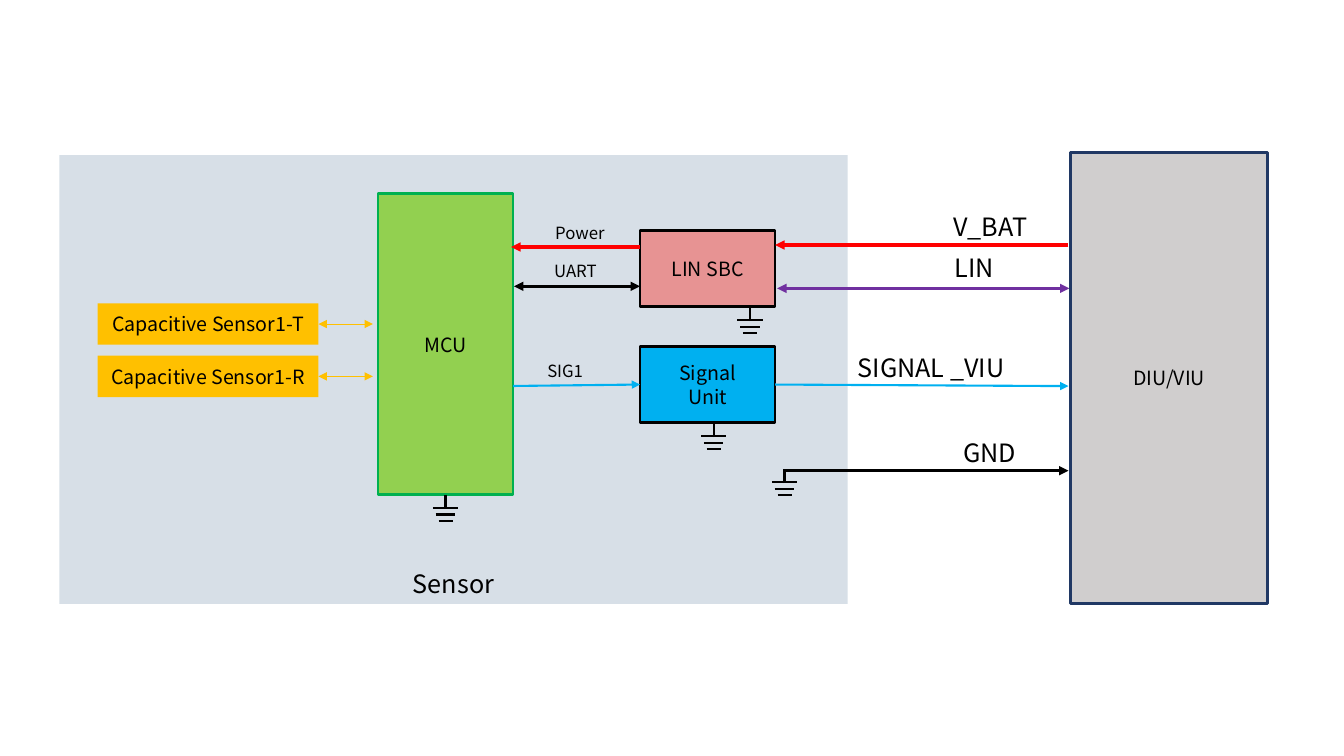
from collections import namedtuple

from pptx import Presentation
from pptx.dml.color import RGBColor
from pptx.enum.shapes import MSO_CONNECTOR, MSO_SHAPE
from pptx.enum.text import MSO_ANCHOR, PP_ALIGN
from pptx.oxml.ns import qn
from pptx.util import Pt
from lxml import etree

RECTANGLE = MSO_SHAPE.RECTANGLE
STRAIGHT = MSO_CONNECTOR.STRAIGHT
CENTER, LEFT = PP_ALIGN.CENTER, PP_ALIGN.LEFT
TOP, MIDDLE, BOTTOM = MSO_ANCHOR.TOP, MSO_ANCHOR.MIDDLE, MSO_ANCHOR.BOTTOM
SIDE_LEFT, SIDE_BOTTOM, SIDE_RIGHT = 1, 2, 3

FONT = "Noto Sans CJK SC"
COLORS = {
    "panel": "D7DFE7", "mcu": "92D050", "mcu_edge": "00B050", "lin_sbc": "E79393",
    "signal": "00B0F0", "capacitive": "FFC000", "unit": "D0CECE", "unit_edge": "203864",
    "power": "FF0000", "lin": "7030A0", "black": "000000",
}
Box = namedtuple("Box", "left top width height")


def color(name):
    return RGBColor.from_string(COLORS[name])


def write(shape, text, size, align, anchor):
    frame = shape.text_frame
    frame.word_wrap = True
    frame.vertical_anchor = anchor
    frame.text = text
    font_format = {"name": FONT, "size": Pt(size)}
    for para in frame.paragraphs:
        para.alignment = align
        for span in para.runs:
            for key, value in font_format.items():
                setattr(span.font, key, value)
            span.font.color.rgb = color("black")


def add_block(page, box, text, fill, edge=None, size=14, anchor=MIDDLE):
    block = page.shapes.add_shape(RECTANGLE, *map(Pt, box))
    block.shadow.inherit = False
    block.fill.solid()
    block.fill.fore_color.rgb = color(fill)
    if edge:
        block.line.color.rgb = color(edge)
        block.line.width = Pt(2)
    else:
        block.line.fill.background()
    write(block, text, size, CENTER, anchor)
    return block


def add_label(page, left, top, width, text, size):
    label = page.shapes.add_textbox(Pt(left), Pt(top), Pt(width), Pt(size * 1.2 + 7.2))
    label.text_frame.margin_right = 0
    write(label, text, size, LEFT, TOP)


def add_wire(page, start, end, stroke="black", width=1.5, arrows=(), joins=(None, None)):
    """Draw a line; joins holds (shape, side) or None for its start and end."""
    wire = page.shapes.add_connector(STRAIGHT, *map(Pt, (*start, *end)))
    for join, connect in zip(joins, (wire.begin_connect, wire.end_connect)):
        if join:
            connect(*join)
    wire.line.color.rgb = color(stroke)
    wire.line.width = Pt(width)
    outline = wire.line._get_or_add_ln()
    for arrow in arrows:
        etree.SubElement(outline, qn(f"a:{arrow}"), type="triangle")
    etree.SubElement(wire._element.spPr, qn("a:effectLst"))


def add_ground(page, x, y, block=None):
    """Draw an earth symbol hanging from the point (x, y)."""
    for row, width in enumerate((18, 14, 10)):
        bar = y + 9.3 + 4.7 * row
        add_wire(page, (x - width / 2, bar), (x + width / 2, bar))
    add_wire(page, (x, y + 10), (x, y), joins=(None, (block, SIDE_BOTTOM) if block else None))


def add_sensor(page, box):
    """Draw the sensor panel and return its signal unit."""
    left, top, width, height = box
    add_block(page, box, "Sensor", "panel", size=18, anchor=BOTTOM)

    mcu_box = Box(left + 227.5, top + 27.3, 96.5, 215.3)
    mcu_right = mcu_box.left + mcu_box.width
    mcu = add_block(page, mcu_box, "MCU", "mcu", "mcu_edge")
    chip_left = left + 414.7
    lin_top, signal_top = top + 54, top + 136.8
    add_block(page, Box(chip_left, lin_top, 96.5, 54), "LIN SBC", "lin_sbc", "black")
    signal = add_block(page, Box(chip_left, signal_top, 96.5, 54),
                       "Signal\nUnit", "signal", "black")

    add_ground(page, mcu_box.left + mcu_box.width / 2, mcu_box.top + mcu_box.height, mcu)
    add_ground(page, chip_left + 52.6, signal_top + 54.5)
    add_ground(page, chip_left + 78.5, lin_top + 54.5)
    add_ground(page, left + 517.9, top + 224.2)

    for row, name in enumerate(("T", "R")):
        sensor_box = Box(left + 27.3, top + 105.8 + 37.4 * row, 157.7, 29.5)
        sensor = add_block(page, sensor_box, f"Capacitive Sensor1-{name}", "capacitive")
        sensor_right = sensor_box.left + sensor_box.width
        middle = sensor_box.top + sensor_box.height / 2
        add_wire(page, (sensor_right, middle), (mcu_box.left - 3.6, middle), "capacitive", 0.75,
                 ("headEnd", "tailEnd"), ((sensor, SIDE_RIGHT), None))

    power, uart, sig = top + 65.5, top + 93.6, signal_top + 27
    add_wire(page, (chip_left, power), (mcu_right - 1.4, power), "power", 2.25, ("tailEnd",))
    add_wire(page, (mcu_right + 0.7, uart), (chip_left, uart), "black", 2.25,
             ("headEnd", "tailEnd"))
    add_wire(page, (mcu_right, sig + 1), (chip_left, sig), "signal", 1.5, ("tailEnd",),
             (None, (signal, SIDE_LEFT)))
    for x, y, text in ((347, 44.6, "Power"), (346.3, 72, "UART"), (341.3, 143.3, "SIG1")):
        add_label(page, left + x, top + y, 85, text, 12)
    return signal


def add_harness(page, box, signal):
    """Draw the wires that fill the box between the chips and the vehicle unit."""
    left, top, width, height = box
    right = left + width
    add_wire(page, (right, top), (left, top), "power", 2.25, ("tailEnd",))
    add_wire(page, (left + 1.4, top + 31), (right + 0.7, top + 31), "lin", 2.25,
             ("headEnd", "tailEnd"))
    add_wire(page, (left, top + 99.7), (right, top + 100.8), "signal", 1.5, ("tailEnd",),
             ((signal, SIDE_RIGHT), None))
    add_wire(page, (left + 7.2, top + height), (right, top + height), "black", 2.25,
             ("tailEnd",))
    labels = ((120.2, -27.4, 67.7, "V_BAT"), (121, 1.4, 67.7, "LIN"),
              (51.8, 73.4, 185.8, "SIGNAL _VIU"), (127.4, 133.9, 54.7, "GND"))
    for x, y, label_width, text in labels:
        add_label(page, left + x, top + y, label_width, text, 18)


def main():
    deck = Presentation()
    deck.slide_width, deck.slide_height = Pt(960), Pt(540)
    page = deck.slides.add_slide(deck.slide_layouts[6])
    signal = add_sensor(page, Box(42.5, 110.9, 563, 320.4))
    add_harness(page, Box(553.7, 175, 209.5, 161.2), signal)
    add_block(page, Box(764.6, 108.7, 141.1, 322.6), "DIU/VIU", "unit", "unit_edge")
    deck.save("out.pptx")


if __name__ == "__main__":
    main()
